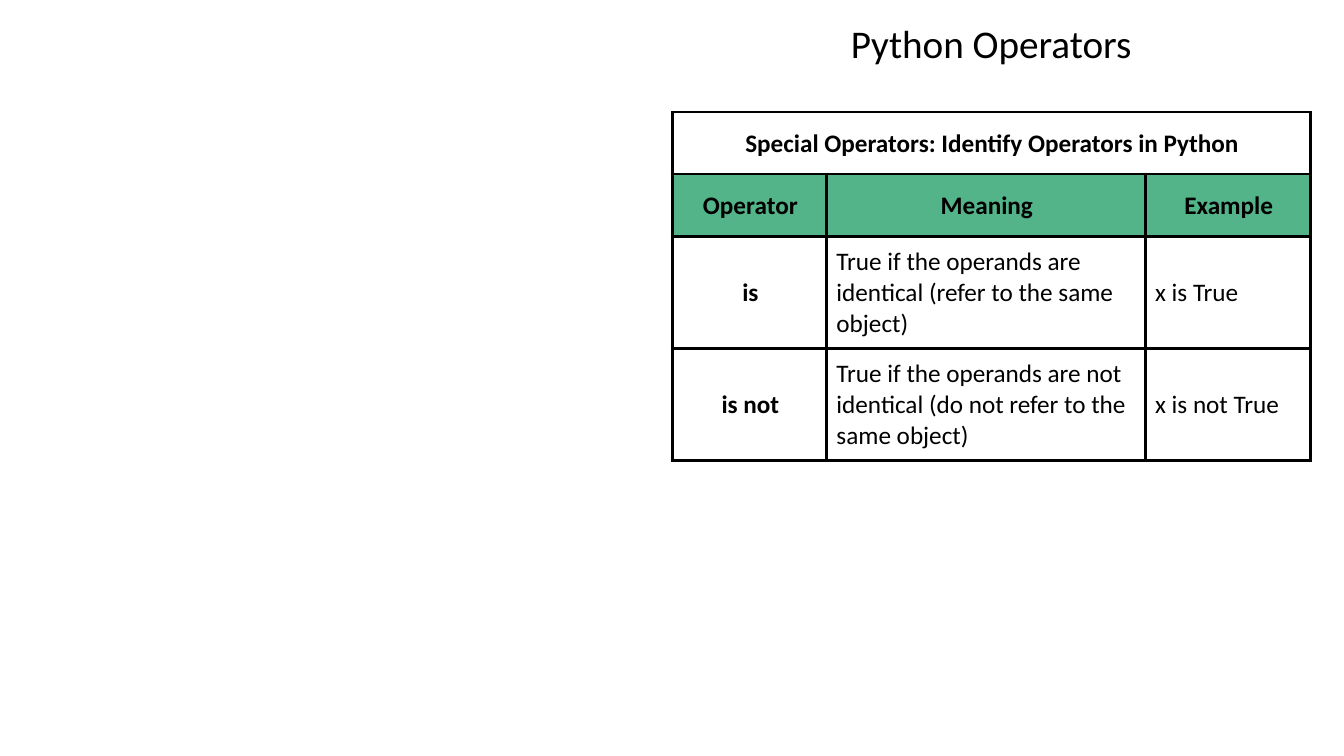
"""Build the Python identity operators slide."""
from lxml.etree import SubElement
from pptx import Presentation
from pptx.dml.color import RGBColor
from pptx.enum.text import MSO_ANCHOR as Anchor, MSO_AUTO_SIZE as AutoSize, PP_ALIGN as Align
from pptx.oxml.ns import qn
from pptx.util import Cm, Pt

TITLE = "Python Operators"
CAPTION = "Special Operators: Identify Operators in Python"
ROWS = [
    (CAPTION, "", ""),
    ("Operator", "Meaning", "Example"),
    ("is", "True if the operands are identical (refer to the same object)", "x is True"),
    ("is not", "True if the operands are not identical (do not refer to the same object)",
     "x is not True"),
]
COLUMN_WIDTHS = (3.89, 8.03, 4.16)
ROW_HEIGHTS = (1.55, 1.55, 2.83, 2.83)
HEADING_ROWS = 2
LEFT = 16.94
WIDTH = sum(COLUMN_WIDTHS)
FONT = "Calibri"
BLACK, WHITE, GREEN = "000000", "FFFFFF", "53B389"


def color(value):
    return RGBColor.from_string(value)


def style(paragraph, size, bold, alignment):
    paragraph.alignment = alignment
    font = paragraph.font
    font.name, font.size, font.bold = FONT, Pt(size), bold
    font.color.rgb = color(BLACK)


def add_borders(cell):
    properties = cell._tc.get_or_add_tcPr()
    for index, side in enumerate(("a:lnL", "a:lnR", "a:lnT", "a:lnB")):
        line = properties.makeelement(qn(side), {"w": str(Pt(2.25))})
        fill = SubElement(line, qn("a:solidFill"))
        SubElement(fill, qn("a:srgbClr"), val=BLACK)
        properties.insert(index, line)


def add_title(slide):
    title = slide.shapes.title
    title.left, title.top, title.width, title.height = Cm(LEFT), Cm(0.38), Cm(WIDTH), Cm(1.55)
    frame = title.text_frame
    frame.text = TITLE
    frame.auto_size = AutoSize.NONE
    frame.vertical_anchor = Anchor.MIDDLE
    paragraph = frame.paragraphs[0]
    style(paragraph, 28, False, Align.CENTER)
    paragraph.line_spacing = 0.9


def format_cell(cell, text, row, column):
    heading = row < HEADING_ROWS
    label = heading or column == 0
    cell.text = text
    cell.vertical_anchor = Anchor.MIDDLE
    cell.margin_left, cell.margin_right = Cm(0.25), Cm(0.2)
    cell.margin_top = Cm(0.41 if heading else 0.25)
    cell.margin_bottom = Cm(0.38 if heading else 0.23)
    cell.fill.solid()
    cell.fill.fore_color.rgb = color(GREEN if row == 1 else WHITE)
    style(cell.text_frame.paragraphs[0], 18, label, Align.CENTER if label else Align.LEFT)
    add_borders(cell)


def add_operator_table(slide):
    table = slide.shapes.add_table(len(ROWS), len(COLUMN_WIDTHS), Cm(LEFT), Cm(2.82),
                                   Cm(WIDTH), Cm(sum(ROW_HEIGHTS))).table
    table.first_row = table.horz_banding = False
    for column, width in zip(table.columns, COLUMN_WIDTHS):
        column.width = Cm(width)
    for row, height in zip(table.rows, ROW_HEIGHTS):
        row.height = Cm(height)
    for row, texts in enumerate(ROWS):
        for column, text in enumerate(texts):
            format_cell(table.cell(row, column), text, row, column)
    table.cell(0, 0).merge(table.cell(0, len(COLUMN_WIDTHS) - 1))


def main():
    presentation = Presentation()
    presentation.slide_width, presentation.slide_height = Cm(33.87), Cm(19.05)
    slide = presentation.slides.add_slide(presentation.slide_layouts.get_by_name("Title Only"))
    add_title(slide)
    add_operator_table(slide)
    presentation.save("out.pptx")


if __name__ == "__main__":
    main()
